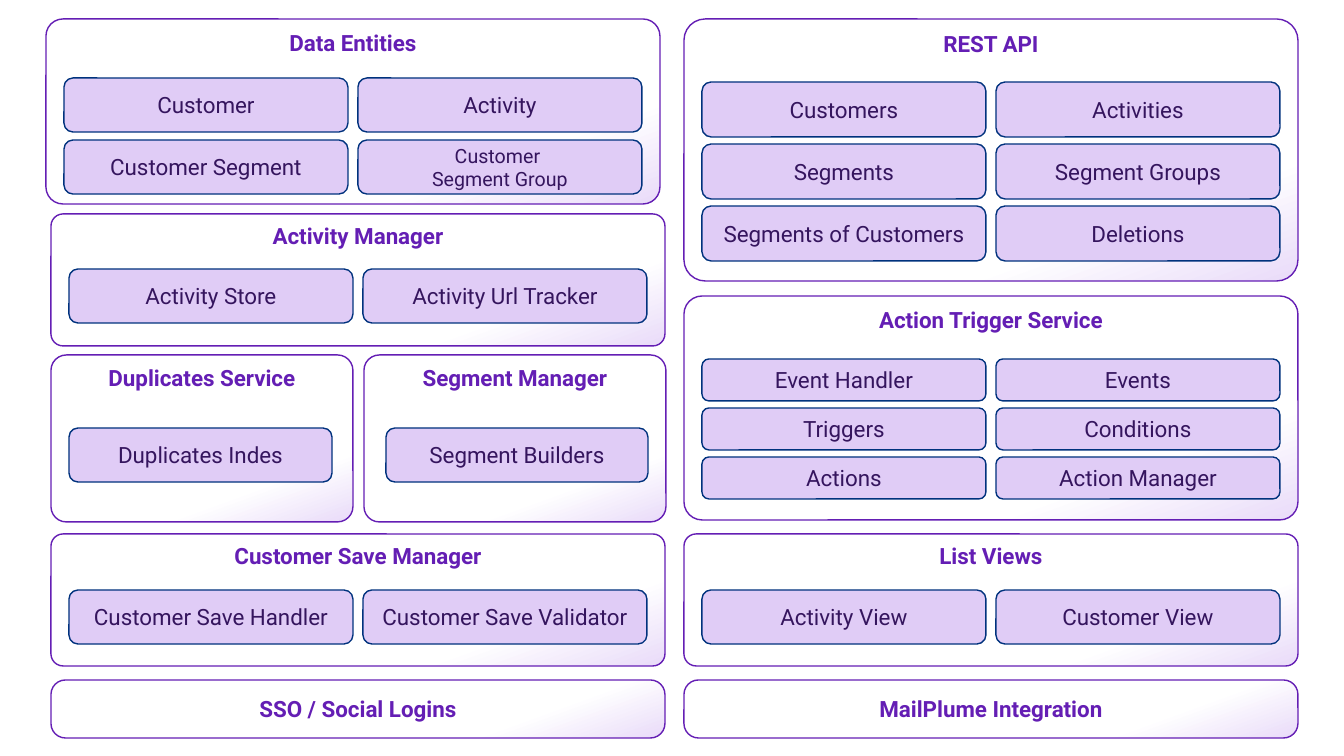
import pptx
import pptx.util
import pptx.dml.color
import pptx.enum.shapes
import pptx.enum.text

RGB = pptx.dml.color.RGBColor
WHITE = RGB(0xFF, 0xFF, 0xFF)
MIST = RGB(0xE9, 0xDB, 0xF9)
LILAC = RGB(0xE0, 0xCC, 0xF6)
VIOLET = RGB(0x64, 0x1E, 0xB4)
PLUM = RGB(0x35, 0x15, 0x5E)
NAVY = RGB(0x00, 0x32, 0x7D)

SCALE = 914400 / 100.8  # EMU in one px
INSET, GAP = 18, 10  # panel edge to first tile, tile to tile
LEFT, RIGHT, WIDE, TILE = 51, 684, 614, 284

HEAD = {"name": "Roboto", "size": pptx.util.Pt(16), "bold": True}
BODY = {"name": "Roboto", "size": pptx.util.Pt(16), "bold": False}
SMALL = {**BODY, "size": pptx.util.Pt(14)}

# Panel: title, left, top, width, height, corner;
# tiles: left inset, top, width, height, row pitch, labels by row
PANELS = [
    ("Data Entities", 46, 19, WIDE, 185, 0.092,
     (INSET, 78, TILE, 54, 62,
      ["Customer", "Activity",
       "Customer Segment", "Customer \nSegment Group"])),
    ("Activity Manager", LEFT, 214, WIDE, 132, 0.092,
     (INSET, 269, TILE, 54, 0, ["Activity Store", "Activity Url Tracker"])),
    ("Duplicates Service", LEFT, 355, 302, 167, 0.092,
     (INSET, 428, 263, 54, 0, ["Duplicates Indes"])),
    ("Segment Manager", 364, 355, 302, 167, 0.092,
     (22, 428, 262, 54, 0, ["Segment Builders"])),
    ("Customer Save Manager", LEFT, 534, WIDE, 132, 0.092,
     (INSET, 590, TILE, 54, 0,
      ["Customer Save Handler", "Customer Save Validator"])),
    ("REST API", RIGHT, 19, WIDE, 262, 0.081,
     (INSET, 82, TILE, 55, 62,
      ["Customers", "Activities", "Segments", "Segment Groups",
       "Segments of Customers", "Deletions"])),
    ("Action Trigger Service", RIGHT, 296, WIDE, 224, 0.081,
     (INSET, 359, TILE, 42, 49,
      ["Event Handler", "Events", "Triggers", "Conditions",
       "Actions", "Action Manager"])),
    ("List Views", RIGHT, 534, WIDE, 132, 0.092,
     (INSET, 590, TILE, 54, 0, ["Activity View", "Customer View"])),
    ("SSO / Social Logins", LEFT, 680, WIDE, 58, 0.25, None),
    ("MailPlume Integration", RIGHT, 680, WIDE, 58, 0.25, None),
]


def px(num):
    return pptx.util.Emu(round(num * SCALE))


def add_box(shapes, text, area, edge, color, style, middle):
    kind = pptx.enum.shapes.MSO_SHAPE.ROUNDED_RECTANGLE
    box = shapes.add_shape(kind, *map(px, area))
    box.shadow.inherit = False
    box.line.color.rgb = edge
    box.line.width = pptx.util.Pt(1)
    frame = box.text_frame
    frame.word_wrap = True
    anchor = pptx.enum.text.MSO_ANCHOR
    frame.vertical_anchor = anchor.MIDDLE if middle else anchor.TOP
    para = frame.paragraphs[0]
    para.text = text
    para.alignment = pptx.enum.text.PP_ALIGN.CENTER
    for run in para.runs:
        for key, value in style.items():
            setattr(run.font, key, value)
        run.font.color.rgb = color
    return box


def add_panel(shapes, title, area, corner, middle):
    box = add_box(shapes, title, area, VIOLET, VIOLET, HEAD, middle)
    box.adjustments[0] = corner
    box.fill.gradient()
    box.fill.gradient_angle = 290  # counted anticlockwise
    stops = zip(box.fill.gradient_stops, (0.75, 1), (WHITE, MIST))
    for stop, place, color in stops:
        stop.position = place
        stop.color.rgb = color


def add_tiles(shapes, left, top, width, height, pitch, labels):
    for i, label in enumerate(labels):
        row, col = divmod(i, 2)
        area = (left + col * (width + GAP), top + row * pitch, width, height)
        style = SMALL if "\n" in label else BODY
        box = add_box(shapes, label, area, NAVY, PLUM, style, True)
        box.fill.solid()
        box.fill.fore_color.rgb = LILAC


def main():
    deck = pptx.Presentation()
    deck.slide_width, deck.slide_height = px(1344), px(756)
    slide = deck.slides.add_slide(deck.slide_layouts[6])

    # One group for each panel with its tiles
    for title, left, top, width, height, corner, tiles in PANELS:
        shapes = slide.shapes.add_group_shape().shapes
        area = (left, top, width, height)
        add_panel(shapes, title, area, corner, tiles is None)
        if tiles:
            inset, *rest = tiles
            add_tiles(shapes, left + inset, *rest)

    deck.save("out.pptx")


if __name__ == "__main__":
    main()
